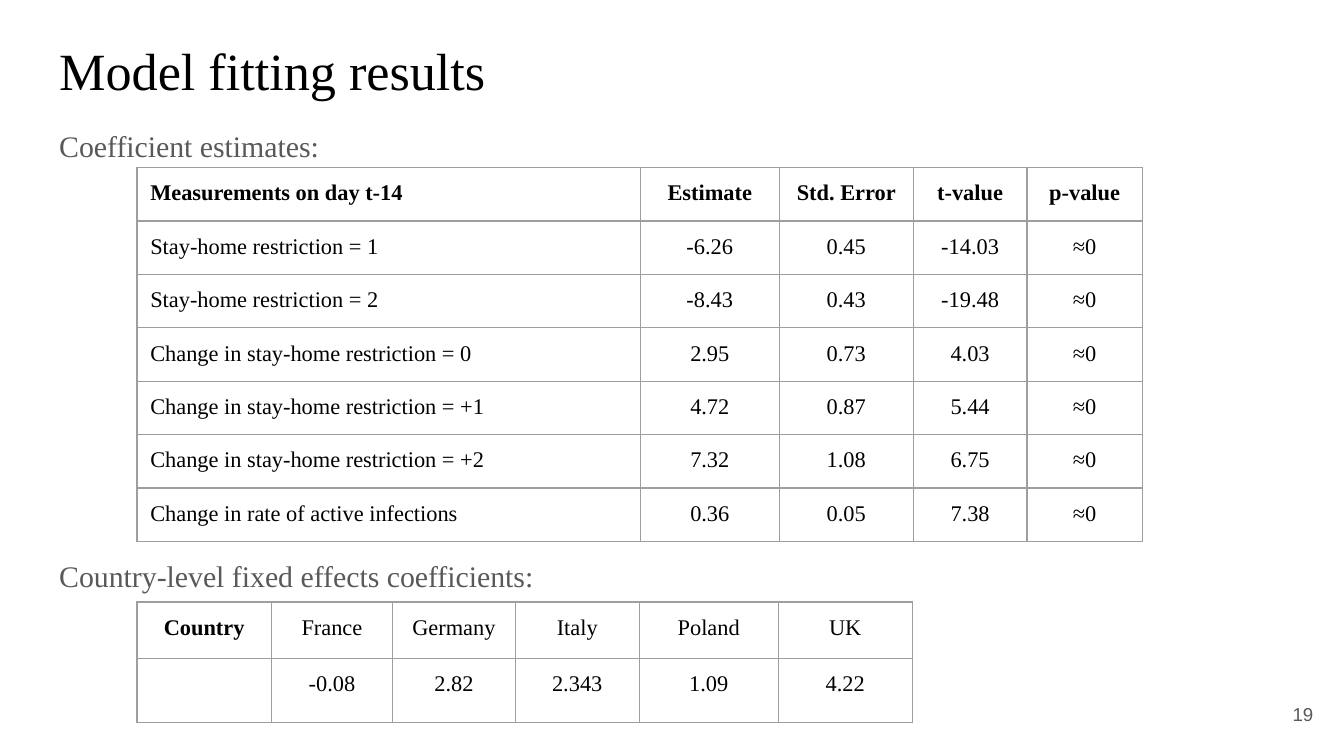
from lxml.etree import SubElement
from pptx import Presentation
from pptx.dml.color import RGBColor
from pptx.enum.text import MSO_ANCHOR, PP_ALIGN
from pptx.oxml.ns import qn
from pptx.util import Cm, Pt

BLACK = RGBColor(0x00, 0x00, 0x00)
GREY = RGBColor(0x59, 0x59, 0x59)
BORDER = RGBColor(0x9E, 0x9E, 0x9E)
SERIF = "Times New Roman"
INSET = Cm(0.25)

TITLE = {"name": SERIF, "size": Pt(28)}
HEADING = {"name": SERIF, "size": Pt(16)}
CELL = {"name": SERIF, "size": Pt(12)}
NUMBER = {"name": "Arial", "size": Pt(10)}

ESTIMATES = [
    ["Measurements on day t-14", "Estimate", "Std. Error", "t-value", "p-value"],
    ["Stay-home restriction = 1", "-6.26", "0.45", "-14.03", "≈0"],
    ["Stay-home restriction = 2", "-8.43", "0.43", "-19.48", "≈0"],
    ["Change in stay-home restriction = 0", "2.95", "0.73", "4.03", "≈0"],
    ["Change in stay-home restriction = +1", "4.72", "0.87", "5.44", "≈0"],
    ["Change in stay-home restriction = +2", "7.32", "1.08", "6.75", "≈0"],
    ["Change in rate of active infections", "0.36", "0.05", "7.38", "≈0"],
]
COUNTRIES = [
    ["Country", "France", "Germany", "Italy", "Poland", "UK"],
    ["", "-0.08", "2.82", "2.343", "1.09", "4.22"],
]


def set_font(font, style, color):
    for name, value in style.items():
        setattr(font, name, value)
    font.color.rgb = color


def set_margins(target):
    for side in ("left", "right", "top", "bottom"):
        setattr(target, f"margin_{side}", INSET)


def add_text(slide, box, text, style, color, line_spacing=1.0,
             align=PP_ALIGN.LEFT, anchor=MSO_ANCHOR.TOP):
    """Place one line of text in box (left, top, width, height in cm)."""
    frame = slide.shapes.add_textbox(*map(Cm, box)).text_frame
    frame.word_wrap = True
    frame.vertical_anchor = anchor
    set_margins(frame)
    paragraph = frame.paragraphs[0]
    paragraph.alignment = align
    paragraph.line_spacing = line_spacing
    run = paragraph.add_run()
    run.text = text
    set_font(run.font, style, color)


def add_borders(cell):
    properties = cell._tc.get_or_add_tcPr()
    for index, side in enumerate(("lnL", "lnR", "lnT", "lnB")):
        line = SubElement(properties, qn(f"a:{side}"), w=str(Pt(0.75)))
        fill = SubElement(line, qn("a:solidFill"))
        SubElement(fill, qn("a:srgbClr"), val=str(BORDER))
        properties.insert(index, line)


def add_grid(slide, left, top, widths, heights, rows, is_bold, is_left):
    """Place a bordered table; is_bold and is_left take (row, column)."""
    table = slide.shapes.add_table(
        len(rows), len(widths), Cm(left), Cm(top),
        Cm(sum(widths)), Cm(sum(heights))).table
    table.first_row = table.horz_banding = False
    for column, width in zip(table.columns, widths):
        column.width = Cm(width)
    for row, height in zip(table.rows, heights):
        row.height = Cm(height)
    for r, values in enumerate(rows):
        for c, value in enumerate(values):
            cell = table.cell(r, c)
            cell.fill.background()
            add_borders(cell)
            set_margins(cell)
            cell.text = value
            paragraph = cell.text_frame.paragraphs[0]
            paragraph.alignment = PP_ALIGN.LEFT if is_left(r, c) else PP_ALIGN.CENTER
            set_font(paragraph.font, {**CELL, "bold": is_bold(r, c)}, BLACK)
            for run in paragraph.runs:
                set_font(run.font, {**CELL, "bold": is_bold(r, c)}, BLACK)


def build_slide(presentation):
    slide = presentation.slides.add_slide(presentation.slide_layouts[6])

    # Title and section headings
    add_text(slide, (0.87, 0.48, 23.67, 1.6), "Model fitting results", TITLE, BLACK)
    for top, heading in ((2.06, "Coefficient estimates:"),
                         (10.19, "Country-level fixed effects coefficients:")):
        add_text(slide, (0.87, top, 23.67, 1.2), heading, HEADING, GREY, 1.15)

    # Coefficient estimates
    add_grid(slide, 2.59, 3.17, [9.51, 2.63, 2.53, 2.15, 2.18],
             [0.98] * len(ESTIMATES), ESTIMATES,
             is_bold=lambda r, c: r == 0, is_left=lambda r, c: c == 0)

    # Country effects
    add_grid(slide, 2.59, 11.38, [2.54, 2.29, 2.32, 2.34, 2.63, 2.53],
             [1.06, 1.21], COUNTRIES,
             is_bold=lambda r, c: r == c == 0, is_left=lambda r, c: False)

    # Slide number
    add_text(slide, (23.55, 12.95, 1.52, 1.09), "19", NUMBER, GREY,
             align=PP_ALIGN.RIGHT, anchor=MSO_ANCHOR.MIDDLE)


def main():
    presentation = Presentation()
    presentation.slide_width = Cm(25.4)
    presentation.slide_height = Cm(14.29)
    build_slide(presentation)
    presentation.save("out.pptx")


if __name__ == "__main__":
    main()
